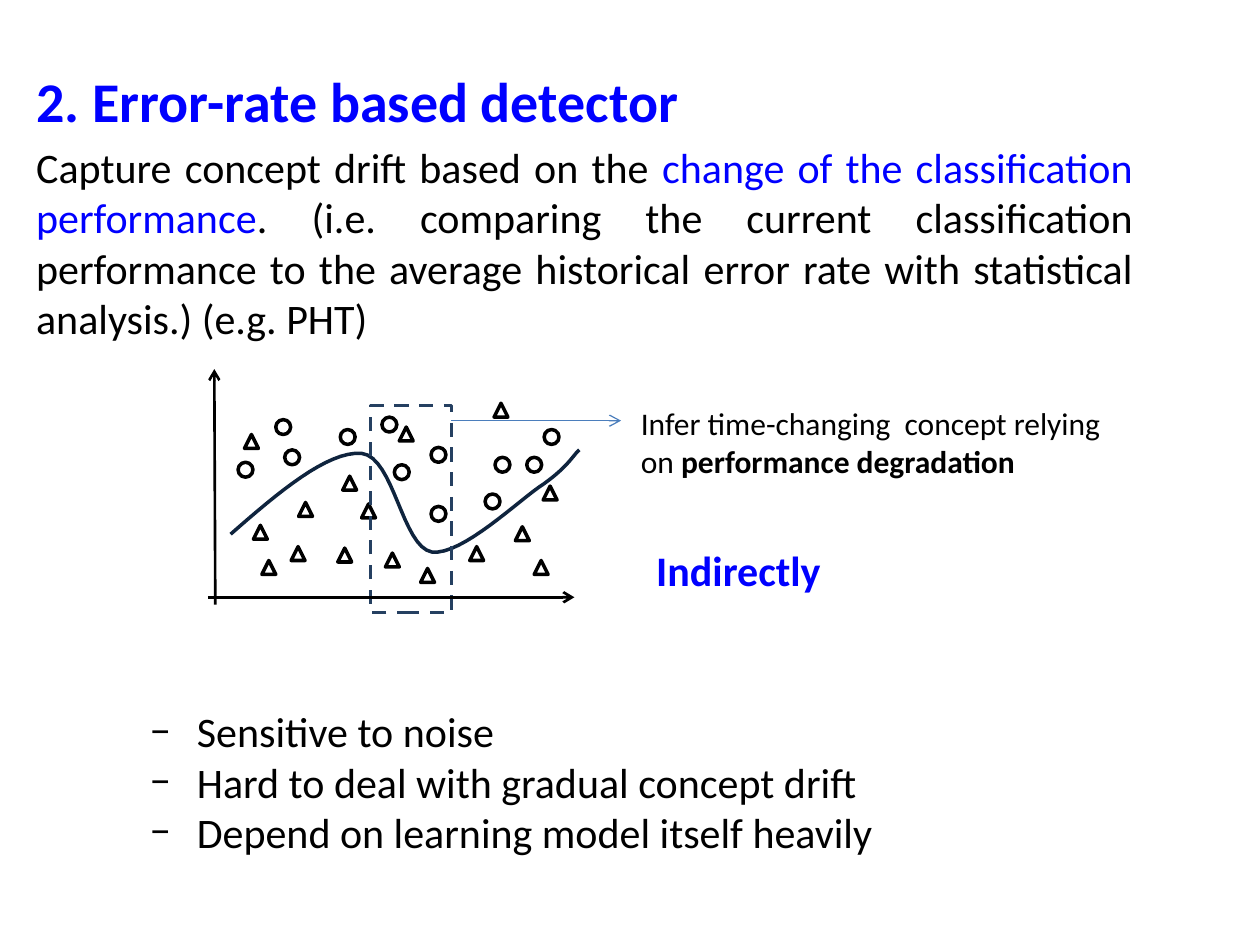
"""Build a slide that explains the error-rate based drift detector."""
from dataclasses import dataclass
from typing import NamedTuple, Optional

from lxml import etree
from pptx import Presentation
from pptx.dml.color import RGBColor
from pptx.enum.dml import MSO_LINE
from pptx.enum.shapes import MSO_CONNECTOR, MSO_SHAPE
from pptx.enum.text import MSO_AUTO_SIZE, PP_ALIGN
from pptx.oxml.ns import qn
from pptx.util import Cm, Pt

CIRCLE = MSO_SHAPE.OVAL
TRIANGLE = MSO_SHAPE.ISOSCELES_TRIANGLE
RECTANGLE = MSO_SHAPE.RECTANGLE
STRAIGHT = MSO_CONNECTOR.STRAIGHT
DASH = MSO_LINE.DASH
JUSTIFY = PP_ALIGN.JUSTIFY
LEFT = PP_ALIGN.LEFT
GROW = MSO_AUTO_SIZE.SHAPE_TO_FIT_TEXT


@dataclass(frozen=True)
class Theme:
    font: str = "Calibri"
    black: str = "000000"
    accent: str = "0000FF"
    curve: str = "0F243E"
    window: str = "254061"
    pointer: str = "4B7EBC"
    title: float = 32
    body: float = 24
    note: float = 18
    outline: float = 2
    axis: float = 1.5
    thin: float = 0.75


class Point(NamedTuple):
    x: float
    y: float


class Area(NamedTuple):
    left: float
    top: float
    width: float
    height: float


@dataclass(frozen=True)
class MarkerClass:
    kind: MSO_SHAPE
    size: float
    places: tuple


@dataclass(frozen=True)
class Arrow:
    start: Point
    end: Point
    color: str
    weight: float


THEME = Theme()

MARKERS = (
    MarkerClass(CIRCLE, 0.3, (
        (4.8, 9.32), (6.86, 8.66), (5.56, 8.46), (5.74, 9.07), (7.7, 8.41), (8.69, 10.21),
        (7.95, 9.37), (9.98, 9.22), (9.78, 9.96), (8.69, 9.02), (10.62, 9.22), (10.97, 8.66))),
    MarkerClass(TRIANGLE, 0.28, (
        (5.11, 10.59), (5.28, 11.3), (6.02, 10.13), (6.91, 9.6), (6.81, 11.05), (5.87, 11.02),
        (7.29, 10.16), (7.77, 11.15), (8.48, 11.46), (9.47, 11.02), (10.39, 10.62),
        (10.95, 9.8), (10.77, 11.3), (9.96, 8.13), (4.93, 8.76), (8.05, 8.61))),
)

ARROWS = (
    Arrow(Point(4.19, 12.04), Point(11.58, 12.04), THEME.black, THEME.axis),
    Arrow(Point(4.34, 12.19), Point(4.32, 7.44), THEME.black, THEME.axis),
    Arrow(Point(9.09, 8.48), Point(12.52, 8.48), THEME.pointer, THEME.thin),
)

BOUNDARY = (
    Point(4.65, 10.77), Point(5.61, 9.93), Point(6.6, 9.09), Point(7.29, 9.14),
    Point(7.95, 9.22), Point(8.1, 11.02), Point(8.71, 11.13), Point(9.32, 11.2),
    Point(10.46, 10.08), Point(10.97, 9.75), Point(11.46, 9.4), Point(11.56, 9.17),
    Point(11.68, 9.07),
)

DRAWBACKS = (
    "Sensitive to noise",
    "Hard to deal with gradual concept drift",
    "Depend on learning model itself heavily",
)


def style_outline(shape, color: str, weight: float) -> None:
    shape.shadow.inherit = False
    shape.fill.background()
    shape.line.color.rgb = RGBColor.from_string(color)
    shape.line.width = Pt(weight)


def draw_outline(page, kind: MSO_SHAPE, area: Area, color: str):
    shape = page.shapes.add_shape(kind, *map(Cm, area))
    style_outline(shape, color, THEME.outline)
    return shape


def draw_arrow(page, arrow: Arrow) -> None:
    connector = page.shapes.add_connector(STRAIGHT, *map(Cm, arrow.start + arrow.end))
    connector.line.color.rgb = RGBColor.from_string(arrow.color)
    connector.line.width = Pt(arrow.weight)
    properties = connector.element.find(qn("p:spPr"))
    etree.SubElement(properties.find(qn("a:ln")), qn("a:tailEnd"), type="arrow")
    etree.SubElement(properties, qn("a:effectLst"))


def bezier_point(controls: tuple, t: float) -> Point:
    weights = ((1 - t) ** 3, 3 * t * (1 - t) ** 2, 3 * t ** 2 * (1 - t), t ** 3)
    return Point(*(sum(w * value for w, value in zip(weights, axis)) for axis in zip(*controls)))


def draw_curve(page, controls: tuple, color: str, steps: int = 16) -> None:
    points = [bezier_point(controls[first:first + 4], step / steps)
              for first in range(0, len(controls) - 1, 3) for step in range(1, steps + 1)]
    builder = page.shapes.build_freeform(*map(Cm, controls[0]))
    builder.add_line_segments([(Cm(point.x), Cm(point.y)) for point in points], close=False)
    style_outline(builder.convert_to_shape(), color, THEME.outline)


def add_box(page, area: Area):
    frame = page.shapes.add_textbox(*map(Cm, area)).text_frame
    frame.word_wrap = True
    frame.auto_size = GROW
    return frame


def add_para(frame, first: bool = True, align: PP_ALIGN = LEFT, before: float = 0,
             bullet: Optional[str] = None):
    para = frame.paragraphs[0] if first else frame.add_paragraph()
    para.alignment = align
    para.space_before = Pt(before)
    if bullet:
        properties = para._p.get_or_add_pPr()
        indent = Cm(0.95)
        properties.set("marL", str(indent))
        properties.set("indent", str(-indent))
        etree.SubElement(properties, qn("a:buFont"), typeface=THEME.font)
        etree.SubElement(properties, qn("a:buChar"), char=bullet)
    return para


def add_span(para, text: str, size: float = THEME.body, color: str = THEME.black,
             bold: bool = False) -> None:
    span = para.add_run()
    span.text = text
    span.font.name = THEME.font
    span.font.size = Pt(size)
    span.font.bold = bold
    span.font.color.rgb = RGBColor.from_string(color)


def main() -> None:
    deck = Presentation()
    deck.slide_width, deck.slide_height = Cm(25.4), Cm(19.05)
    page = deck.slides.add_slide(deck.slide_layouts[6])

    intro = add_box(page, Area(0.48, 1.22, 22.61, 5.87))
    add_span(add_para(intro, align=JUSTIFY), "2. Error-rate based detector",
             size=THEME.title, color=THEME.accent, bold=True)
    summary = add_para(intro, first=False, align=JUSTIFY, before=4.3)
    add_span(summary, "Capture concept drift based on the ")
    add_span(summary, "change of the classification performance", color=THEME.accent)
    add_span(summary, ". (i.e. comparing the current classification performance to the average "
                      "historical error rate with statistical analysis.) (e.g. PHT)")

    drawbacks = add_box(page, Area(2.77, 14.1, 18.42, 3.33))
    for index, drawback in enumerate(DRAWBACKS):
        add_span(add_para(drawbacks, first=index == 0, align=JUSTIFY, bullet="−"), drawback)

    for marker in MARKERS:
        for left, top in marker.places:
            draw_outline(page, marker.kind, Area(left, top, marker.size, marker.size), THEME.black)
    draw_curve(page, BOUNDARY, THEME.curve)
    window = draw_outline(page, RECTANGLE, Area(7.47, 8.18, 1.63, 4.17), THEME.window)
    window.line.dash_style = DASH
    for arrow in ARROWS:
        draw_arrow(page, arrow)

    note = add_para(add_box(page, Area(12.67, 8.03, 10.06, 1.8)))
    add_span(note, "Infer time-changing  concept relying on ", size=THEME.note)
    add_span(note, "performance degradation", size=THEME.note, bold=True)
    verdict = add_para(add_box(page, Area(12.98, 10.85, 4.62, 1.27)))
    add_span(verdict, "Indirectly", color=THEME.accent, bold=True)

    deck.save("out.pptx")


if __name__ == "__main__":
    main()
